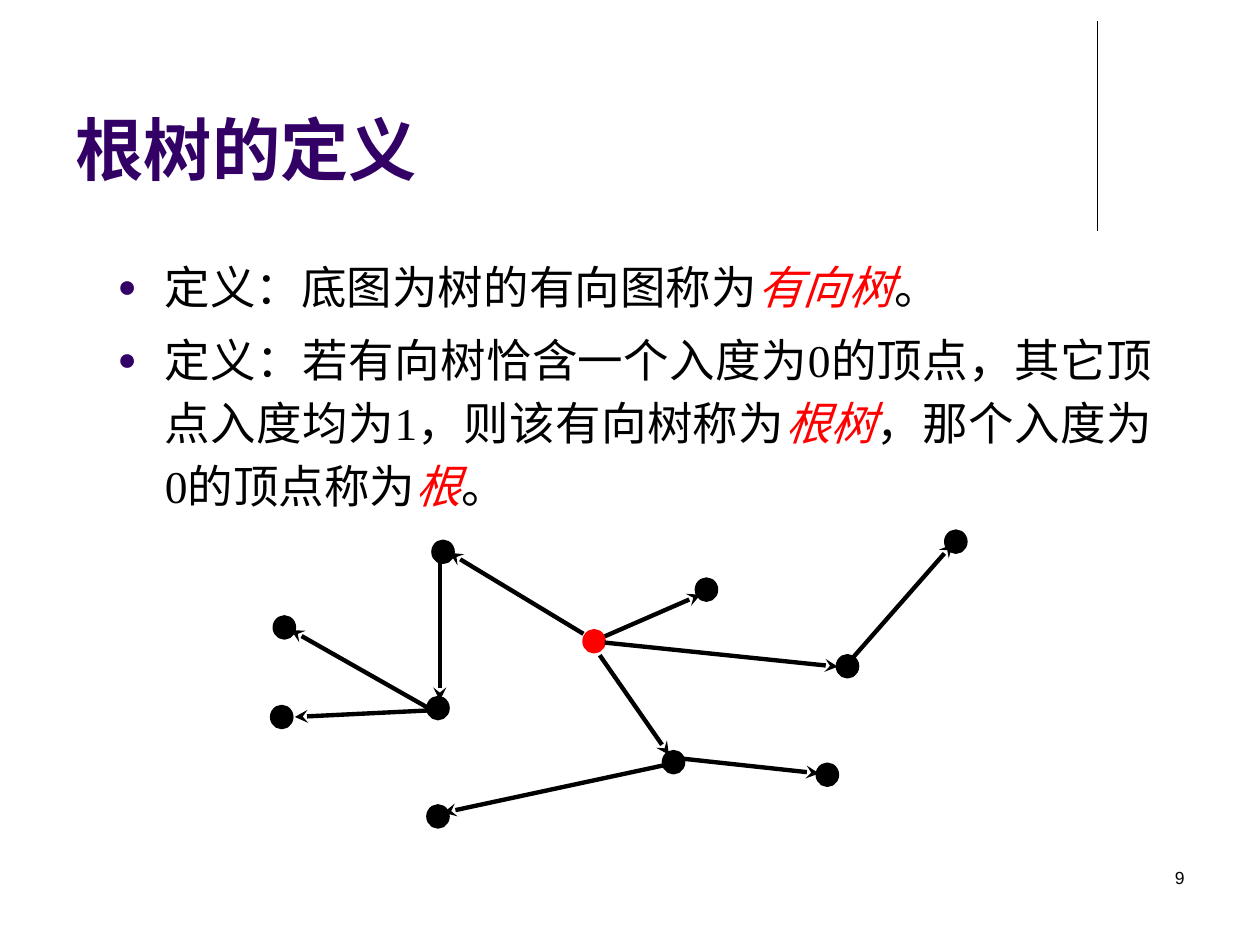
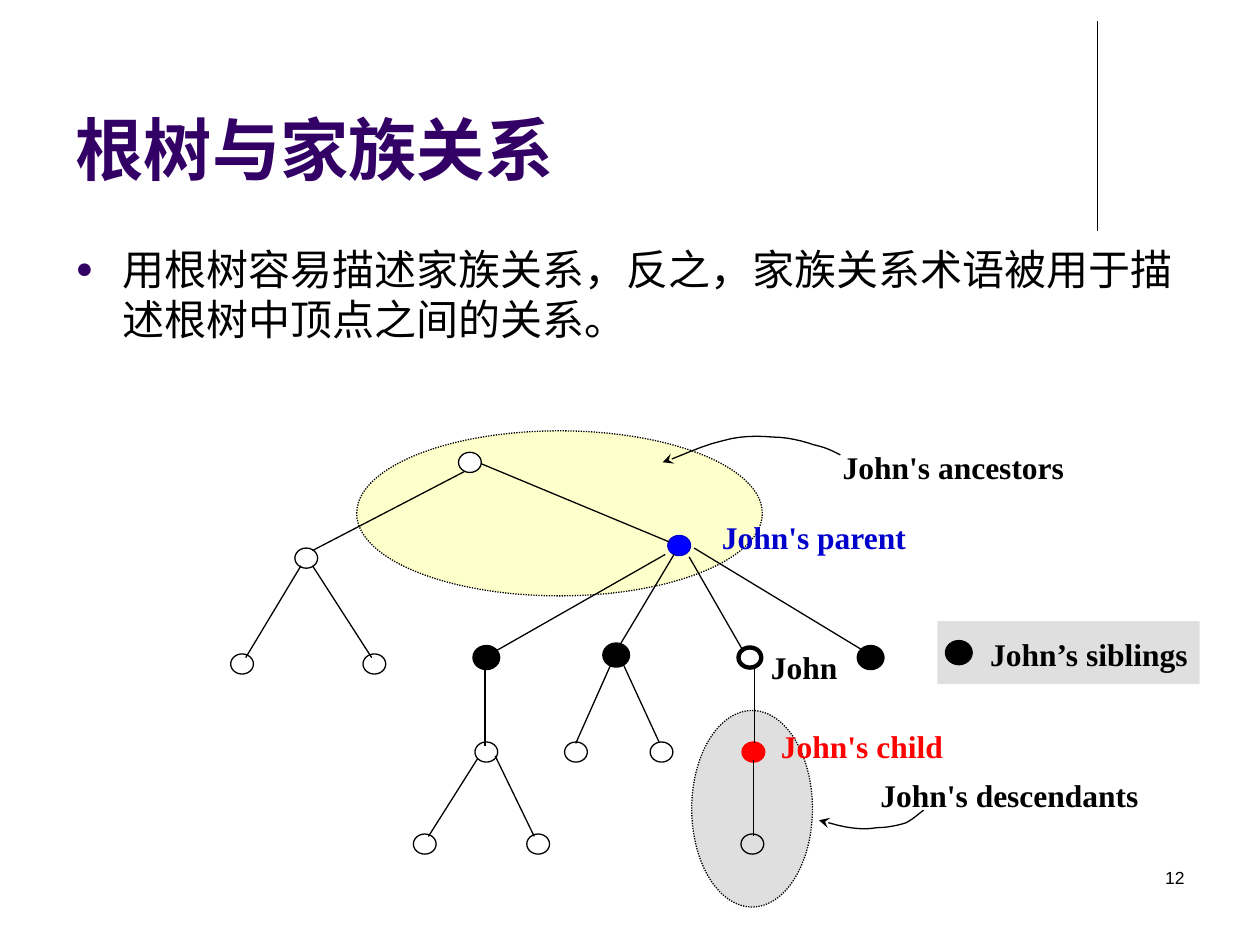
from lxml import etree
from pptx import Presentation
from pptx.dml.color import RGBColor
from pptx.enum.dml import MSO_LINE
from pptx.enum.shapes import MSO_CONNECTOR, MSO_SHAPE
from pptx.enum.text import MSO_ANCHOR, MSO_AUTO_SIZE, PP_ALIGN
from pptx.oxml.ns import qn
from pptx.util import Pt

STRAIGHT = MSO_CONNECTOR.STRAIGHT
OVAL, RECTANGLE = MSO_SHAPE.OVAL, MSO_SHAPE.RECTANGLE
DOTTED = MSO_LINE.ROUND_DOT
LEFT, RIGHT, JUSTIFY = PP_ALIGN.LEFT, PP_ALIGN.RIGHT, PP_ALIGN.JUSTIFY
TOP, BOTTOM = MSO_ANCHOR.TOP, MSO_ANCHOR.BOTTOM
FIXED = MSO_AUTO_SIZE.NONE

BLACK = RGBColor(0x00, 0x00, 0x00)
WHITE = RGBColor(0xFF, 0xFF, 0xFF)
RED = RGBColor(0xFF, 0x00, 0x00)
BLUE = RGBColor(0x00, 0x00, 0xFF)
DARK_BLUE = RGBColor(0x00, 0x00, 0xCC)
PURPLE = RGBColor(0x33, 0x00, 0x66)
GRAY = RGBColor(0xC0, 0xC0, 0xC0)
YELLOW = RGBColor(0xFF, 0xFF, 0x99)

THIN, THICK = 0.75, 2.5
TITLE_FONT = {"name": "Arial", "size": Pt(39), "bold": True}
NUMBER_FONT = {"name": "Arial", "size": Pt(10), "bold": False}
LABEL_FONT = {"name": "Times New Roman", "size": Pt(18), "bold": True}


def add_text(paragraph, text, color, formats):
    span = paragraph.add_run()
    span.text = text
    span.font.color.rgb = color
    for name, value in formats.items():
        setattr(span.font, name, value)


def set_line(shape, color, width, arrow=False):
    shape.line.color.rgb = color
    shape.line.width = Pt(width)
    properties = shape._element.spPr
    if arrow:
        etree.SubElement(properties.find(qn("a:ln")), qn("a:tailEnd"), type="stealth")
    if properties.find(qn("a:effectLst")) is None:
        etree.SubElement(properties, qn("a:effectLst"))


# Directed tree: nodes are (left, top, fill, line color, line width)
directed_tree = {
    "title": "根树的定义",
    "number": "9",
    "body": (60, 139.7, 605.5, 164),
    "body_font": {"name": "Times New Roman", "size": Pt(26)},
    "line_spacing": 1.15,
    # Spans marked True are emphasised terms
    "bullets": [
        [("定义：底图为树的有向图称为", False), ("有向树", True), ("。", False)],
        [("定义：若有向树恰含一个入度为0的顶点，其它顶点入度均为1，则该有向树称为", False),
         ("根树", True), ("，那个入度为0的顶点称为", False), ("根", True), ("。", False)],
    ],
    "areas": [],
    "node_size": (11, 11.5),
    "nodes": [(334, 360.7, RED, RED, THICK)] + [
        (left, top, BLACK, BLACK, THICK) for left, top in [
            (157, 352.8), (244.8, 460.8), (244.8, 398.9), (247.7, 309.6), (379.4, 429.8),
            (398.2, 331.2), (478.8, 375), (540.7, 303.8), (467.3, 437), (155.5, 404)]],
    "edge_width": THICK,
    "arrows": True,
    "edges": [
        (345.6, 363.6, 400.3, 339.8), (342.7, 374.4, 382.3, 431.3),
        (333.4, 362.2, 257, 316), (251.3, 319.7, 251.3, 400.3),
        (244.8, 404.6, 166.3, 360), (486.7, 376.6, 544.3, 311),
        (388.8, 433.4, 468, 442), (380.9, 437, 253.4, 464.4),
        (244.8, 406, 168.5, 409.7), (345.6, 367.2, 478.8, 381),
    ],
    "curves": [],
    "labels": [],
}

# Family tree
family_tree = {
    "title": "根树与家族关系",
    "number": "12",
    "body": (36, 135.4, 648, 72),
    "body_font": {"name": "Arial", "size": Pt(24)},
    "line_spacing": 1.0,
    "bullets": [[("用根树容易描述家族关系，反之，家族关系术语被用于描述根树中顶点之间的关系。", False)]],
    "areas": [
        (OVAL, (395.3, 406, 69, 112.3), GRAY),
        (OVAL, (203.8, 246.2, 231.8, 94.3), YELLOW),
        (RECTANGLE, (535.7, 355, 149.8, 36), GRAY),
    ],
    "node_size": (13, 11.5),
    "nodes": [
        (381.6, 306, BLUE, DARK_BLUE, THIN),
        (422, 370, None, BLACK, THICK),
        (424, 424, RED, RED, THIN),
    ] + [(left, top, BLACK, BLACK, 3) for left, top in [
        (271.4, 370), (345.6, 368.6), (491, 370), (541.4, 367.2)]
    ] + [(left, top, None, BLACK, THIN) for left, top in [
        (271.4, 424), (322.6, 424), (371.5, 424), (423.4, 476.6), (236.2, 476.6), (301, 476.6)]
    ] + [(left, top, WHITE, BLACK, THIN) for left, top in [
        (262, 258.5), (168.5, 313.2), (131.8, 373.7), (207.4, 373.7)]],
    "edge_width": THIN,
    "arrows": False,
    "edges": [
        (275, 265, 382.3, 309.6), (265.7, 269.3, 178.6, 314.6),
        (172, 323.3, 140.4, 375.8), (178.6, 323.3, 212.4, 375.8),
        (380.2, 316.8, 283, 372.2), (385.2, 316.8, 354.2, 368.6),
        (393.8, 318.2, 424.8, 372.2), (396.7, 313.2, 494, 372.2),
        (277.2, 380.2, 277.2, 426.2), (349.2, 379.4, 329, 424.8),
        (356.4, 380.2, 376.6, 424), (431.3, 380.2, 431.3, 424.8),
        (273, 433.4, 244.8, 478), (283, 432, 305.3, 478),
        (430.6, 434.2, 430.6, 478),
    ],
    # Start point, then two controls and an end point for each Bezier piece
    "curves": [
        [(480.2, 260), (476, 257.8), (471.6, 255.6), (465, 254.2), (458.6, 252),
         (450, 249.8), (441.4, 249.8), (432.7, 249), (422.6, 249), (412.6, 252),
         (401.8, 254.2), (386, 262), (378.7, 264.2)],
        [(527.8, 463), (525, 465), (522, 468), (517.7, 470.2), (513.4, 471.6),
         (507, 473), (501, 473), (496, 473.8), (491.8, 473.8), (486, 473),
         (480.2, 472.3), (471, 469.4), (468, 468.7)],
    ],
    "labels": [
        ("John", BLACK, (433.4, 366.5, 61.2, 30)),
        ("John's child", RED, (439.2, 411.8, 127.4, 30)),
        ("John's parent", DARK_BLUE, (405.4, 292.3, 141.8, 30)),
        ("John's ancestors", BLACK, (474.5, 252.7, 180, 30)),
        ("John's descendants", BLACK, (496, 440, 185.8, 30)),
        ("John’s siblings", BLACK, (558.7, 359.3, 138.2, 29)),
    ],
}

deck = Presentation()
deck.slide_width, deck.slide_height = Pt(720), Pt(540)

for content in (directed_tree, family_tree):
    page = deck.slides.add_slide(deck.slide_layouts[1])
    shapes = page.shapes

    # Vertical rule
    rule = shapes.add_connector(STRAIGHT, Pt(627), Pt(12), Pt(627), Pt(132))
    set_line(rule, BLACK, THIN)

    # Title and body placeholders
    title, body = shapes.title, page.placeholders[1]
    for box, place, anchor in ((title, (36, 9.4, 594, 102.2), BOTTOM),
                               (body, content["body"], TOP)):
        box.left, box.top, box.width, box.height = map(Pt, place)
        box.text_frame.vertical_anchor = anchor
        box.text_frame.auto_size = FIXED
    heading = title.text_frame.paragraphs[0]
    heading.alignment = LEFT
    add_text(heading, content["title"], PURPLE, TITLE_FONT)

    # Bulleted definitions
    for index, spans in enumerate(content["bullets"]):
        frame = body.text_frame
        para = frame.add_paragraph() if index else frame.paragraphs[0]
        para.alignment = JUSTIFY if content is directed_tree else LEFT
        para.line_spacing = content["line_spacing"]
        para.space_before = Pt(6)
        for text, emphasised in spans:
            add_text(para, text, RED if emphasised else BLACK,
                     {**content["body_font"], "italic": emphasised})
        properties = para._p.get_or_add_pPr()
        properties.set("marL", str(Pt(27)))
        properties.set("indent", str(-Pt(27)))
        bullet_color = etree.SubElement(properties, qn("a:buClr"))
        etree.SubElement(bullet_color, qn("a:srgbClr"), val=str(PURPLE))
        etree.SubElement(properties, qn("a:buSzPct"), val="70000")
        etree.SubElement(properties, qn("a:buFont"), typeface="Arial")
        etree.SubElement(properties, qn("a:buChar"), char="●")

    # Half-transparent areas
    for kind, place, color in content["areas"]:
        area = shapes.add_shape(kind, *map(Pt, place))
        area.shadow.inherit = False
        area.fill.solid()
        area.fill.fore_color.rgb = color
        fill_color = area._element.spPr.find(qn("a:solidFill"))[0]
        etree.SubElement(fill_color, qn("a:alpha"), val="50000")
        if kind == OVAL:
            set_line(area, BLACK, THIN)
            area.line.dash_style = DOTTED
        else:
            area.line.fill.background()

    # Tree nodes
    for left, top, fill, outline, width in content["nodes"]:
        node = shapes.add_shape(OVAL, Pt(left), Pt(top), *map(Pt, content["node_size"]))
        if fill is None:
            node.fill.background()
        else:
            node.fill.solid()
            node.fill.fore_color.rgb = fill
        set_line(node, outline, width)

    # Tree edges
    for ends in content["edges"]:
        edge = shapes.add_connector(STRAIGHT, *map(Pt, ends))
        set_line(edge, BLACK, content["edge_width"], content["arrows"])

    # Curved pointers, sampled along their Bezier pieces
    for points in content["curves"]:
        samples = []
        for first in range(0, len(points) - 1, 3):
            for step in range(1, 7):
                t = step / 6
                weights = ((1 - t) ** 3, 3 * t * (1 - t) ** 2, 3 * t * t * (1 - t), t ** 3)
                piece = points[first:first + 4]
                samples.append([Pt(sum(w * point[axis] for w, point in zip(weights, piece)))
                                for axis in (0, 1)])
        builder = shapes.build_freeform(*map(Pt, points[0]))
        builder.add_line_segments(samples, close=False)
        pointer = builder.convert_to_shape()
        pointer.fill.background()
        set_line(pointer, BLACK, THIN, arrow=True)

    # Labels and page number
    texts = [(*label, JUSTIFY, LABEL_FONT) for label in content["labels"]]
    texts.append((content["number"], BLACK, (516.2, 491.8, 167.8, 36), RIGHT, NUMBER_FONT))
    for text, color, place, alignment, font in texts:
        box = shapes.add_textbox(*map(Pt, place))
        box.text_frame.word_wrap = True
        para = box.text_frame.paragraphs[0]
        para.alignment = alignment
        add_text(para, text, color, font)

deck.save("out.pptx")
